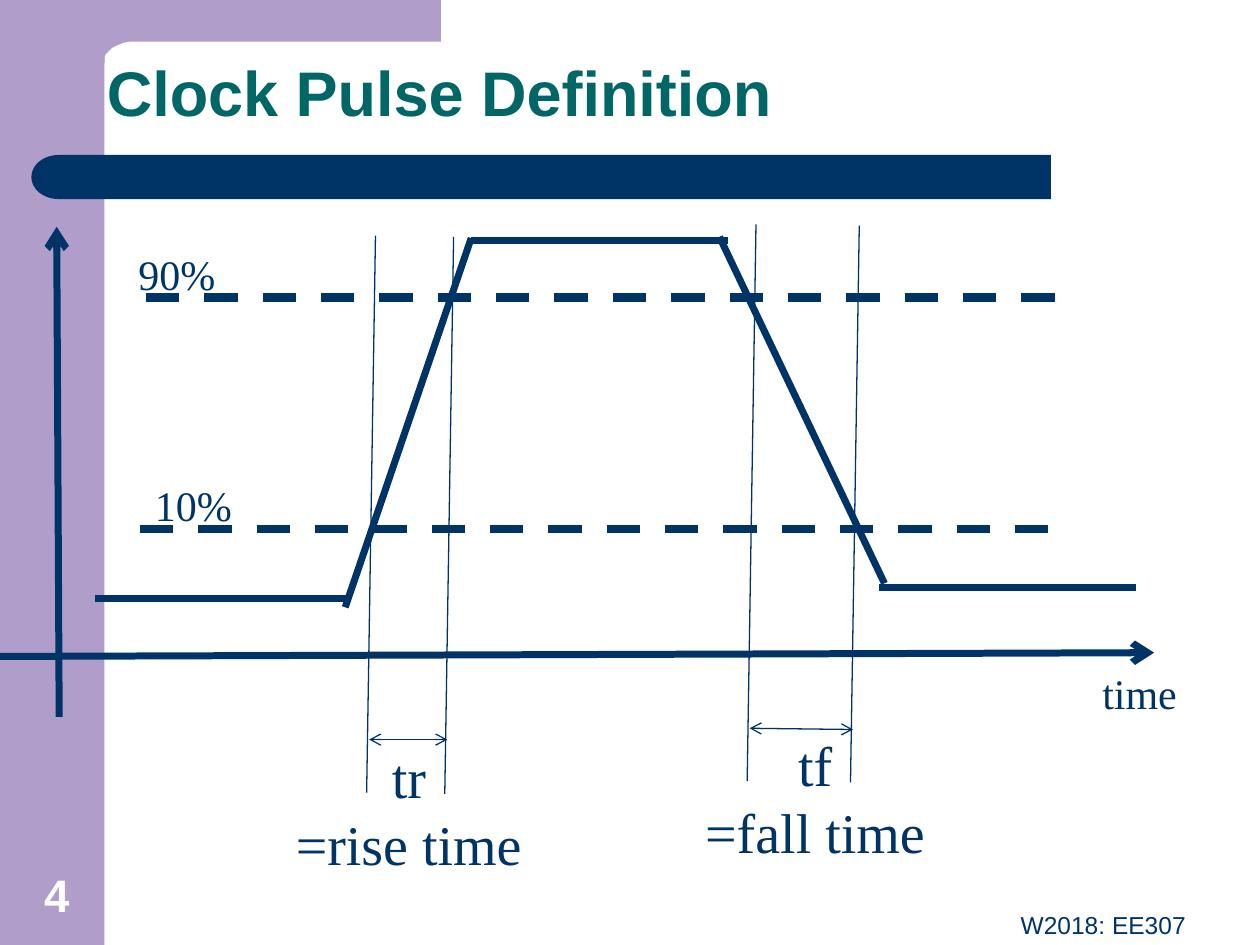
from pptx import Presentation
from pptx.dml.color import RGBColor
from pptx.enum.dml import MSO_LINE
from pptx.enum.shapes import MSO_CONNECTOR, MSO_SHAPE
from pptx.enum.text import MSO_ANCHOR, PP_ALIGN
from pptx.oxml.ns import qn
from pptx.util import Inches, Pt
from lxml.etree import SubElement

COLORS = {"lilac": "B09DC9", "navy": "003366", "teal": "006666", "white": "FFFFFF"}
SERIF, SANS = "Times New Roman", "Arial"
LEFT, CENTER, RIGHT = PP_ALIGN.LEFT, PP_ALIGN.CENTER, PP_ALIGN.RIGHT
TOP, BOTTOM = MSO_ANCHOR.TOP, MSO_ANCHOR.BOTTOM

prs = Presentation()
prs.slide_width, prs.slide_height = Inches(10), Inches(7.5)
s = prs.slides.add_slide(prs.slide_layouts[6])


def add_line(x1, y1, x2, y2, width, dash=None, arrows=()):
    c = s.shapes.add_connector(MSO_CONNECTOR.STRAIGHT, Inches(x1), Inches(y1), Inches(x2), Inches(y2))
    c.line.color.rgb = RGBColor.from_string(COLORS["navy"])
    c.line.width = Pt(width)
    if dash:
        c.line.dash_style = dash
    for end in arrows:
        SubElement(c.line._get_or_add_ln(), qn(f"a:{end}"), type="arrow")
    SubElement(c._element.spPr, qn("a:effectLst"))


def add_text(text, x, y, w, h, size, font=SERIF, color="navy", bold=False, align=LEFT, anchor=TOP, wrap=False):
    sp = s.shapes.add_textbox(Inches(x), Inches(y), Inches(w), Inches(h))
    tf = sp.text_frame
    tf.text = text
    tf.word_wrap = wrap
    tf.vertical_anchor = anchor
    for p in tf.paragraphs:
        p.alignment = align
        for r in p.runs:
            r.font.size = Pt(size)
            r.font.name = font
            r.font.bold = bold
            r.font.color.rgb = RGBColor.from_string(COLORS[color])
    return tf


corner = [(3.5, 0.33), (1.11, 0.33), (1.03, 0.33), (0.98, 0.34), (0.93, 0.36), (0.89, 0.38),
          (0.86, 0.41), (0.84, 0.43), (0.83, 0.45), (0.83, 0.5), (0.5, 0.5), (0.5, 0)]
fb = s.shapes.build_freeform(Inches(3.5), 0)
fb.add_line_segments([(Inches(x), Inches(y)) for x, y in corner])
decor = [(fb.convert_to_shape(), "lilac")]
for kind, x, y, w, h, color in [
    (MSO_SHAPE.RECTANGLE, 0, 0, 0.83, 7.5, "lilac"),
    (MSO_SHAPE.RECTANGLE, 0.67, 1.23, 7.67, 0.35, "navy"),
    (MSO_SHAPE.FLOWCHART_DELAY, 0.25, 1.23, 0.43, 0.35, "navy"),
]:
    sp = s.shapes.add_shape(kind, Inches(x), Inches(y), Inches(w), Inches(h))
    decor.append((sp, color))
sp._element.spPr.xfrm.set("flipH", "1")
for sp, color in decor:
    sp.shadow.inherit = False
    sp.fill.solid()
    sp.fill.fore_color.rgb = RGBColor.from_string(COLORS[color])
    sp.line.fill.background()

tf = add_text("Clock Pulse Definition", 0.75, 0.25, 8.5, 0.83, 36, SANS, "teal", True, anchor=BOTTOM, wrap=True)
tf.paragraphs[0].line_spacing = 0.9

for x1, y1, x2, y2 in [
    (0.75, 4.75, 2.78, 4.75),
    (2.74, 4.82, 3.74, 1.89),
    (3.74, 1.91, 5.78, 1.91),
    (7.02, 4.63, 5.71, 1.88),
    (6.98, 4.66, 9.02, 4.66),
]:
    add_line(x1, y1, x2, y2, 4)

for label, label_x, label_y, x, y in [("90%", 1, 1.92, 1.16, 2.36), ("10%", 1.13, 3.76, 1.11, 4.2)]:
    add_line(x, y, x + 7.4, y, 4.75, dash=MSO_LINE.DASH)
    add_text(label, label_x, label_y, 0.82, 0.43, 24)

add_line(0.47, 5.69, 0.45, 1.8, 4, arrows=["tailEnd"])
add_line(0, 5.21, 9.16, 5.18, 4, arrows=["tailEnd"])
add_text("time", 8.65, 5.25, 0.8, 0.5, 24)

for x, y in [(2.98, 1.87), (3.6, 1.88), (6, 1.78), (6.82, 1.79)]:
    add_line(x, y, x - 0.07, y + 4.42, 0.75)
for x1, y1, x2, y2 in [(2.93, 5.87, 3.55, 5.87), (5.95, 5.78, 6.77, 5.79)]:
    add_line(x1, y1, x2, y2, 0.75, arrows=["headEnd", "tailEnd"])
add_text("tr\n=rise time", 2.24, 5.84, 2.01, 1.18, 32, align=CENTER)
add_text("tf\n=fall time", 5.49, 5.75, 1.96, 1.18, 32, align=CENTER)

add_text("4", 0, 6.83, 0.9, 0.53, 26, SANS, "white", True, CENTER, BOTTOM, True)
add_text("W2018: EE307", 3.42, 7.17, 6.09, 0.52, 14, SANS, align=RIGHT, wrap=True)

prs.save("out.pptx")
